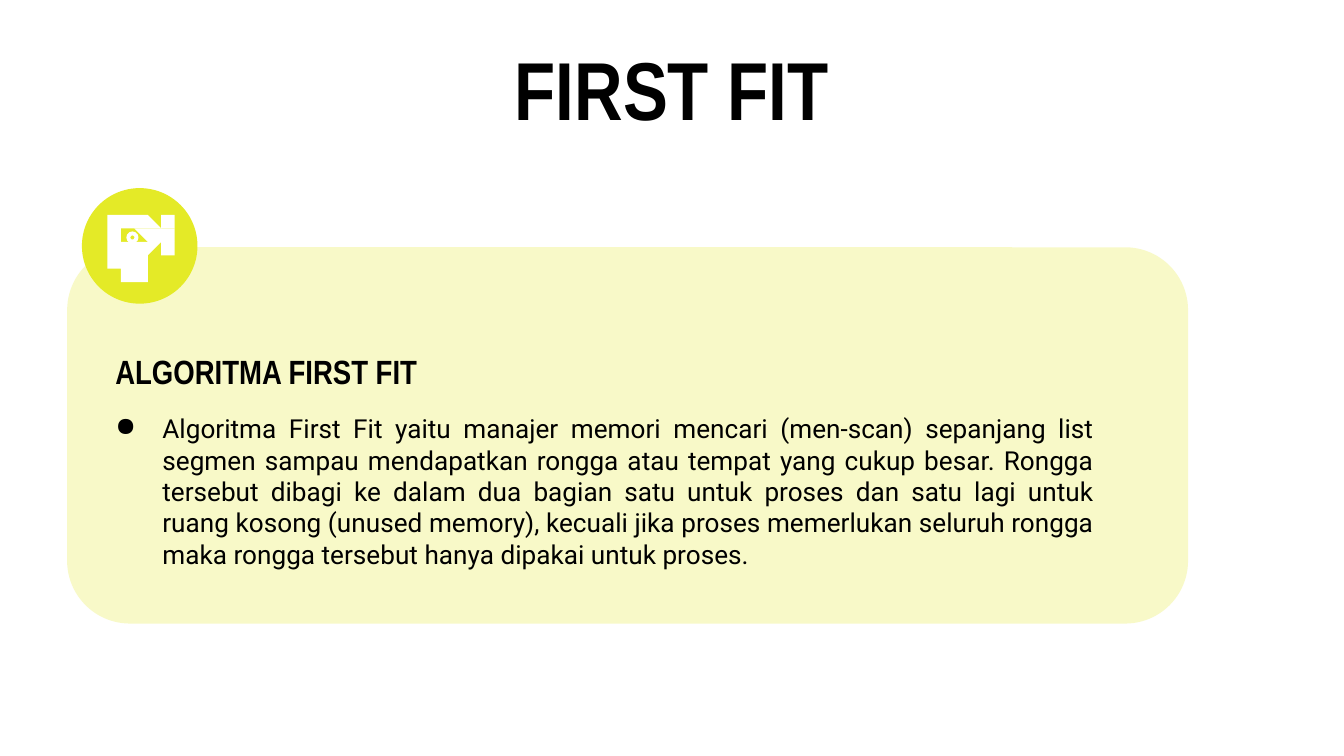
from dataclasses import dataclass
from math import cos, radians, sin

from lxml import etree
from pptx import Presentation
from pptx.dml.color import RGBColor
from pptx.enum.shapes import MSO_SHAPE
from pptx.enum.text import MSO_ANCHOR, PP_ALIGN
from pptx.oxml.ns import qn
from pptx.util import Inches, Pt

ROUNDED, OVAL, DONUT = MSO_SHAPE.ROUNDED_RECTANGLE, MSO_SHAPE.OVAL, MSO_SHAPE.DONUT
LEFT, CENTER, JUSTIFY = PP_ALIGN.LEFT, PP_ALIGN.CENTER, PP_ALIGN.JUSTIFY
TOP, MIDDLE = MSO_ANCHOR.TOP, MSO_ANCHOR.MIDDLE

SLIDE_WIDTH, SLIDE_HEIGHT = Inches(10), Inches(5.625)
CELL = SLIDE_WIDTH // 100  # square grid, 100 columns wide
LIME, WHITE, BLACK = "E4EA27", "FFFFFF", "000000"

Point = tuple[float, float]


@dataclass(frozen=True)
class Box:
    """Place on the grid, in columns and rows."""
    column: float
    row: float
    columns: float
    rows: float

    def lengths(self) -> list[int]:
        return [round(value * CELL) for value in
                (self.column, self.row, self.columns, self.rows)]


@dataclass(frozen=True)
class Label:
    box: Box
    text: str
    font: str
    size: float
    bold: bool = False
    align: int = LEFT
    anchor: int = MIDDLE
    bullet: str = ""


LABELS = [
    Label(Box(5, 4.5, 90, 4.1), "FIRST FIT", "Arial Narrow", 44, True, CENTER),
    Label(Box(7.6, 25.8, 47.3, 3.6), "ALGORITMA FIRST FIT", "Arial Narrow", 18, True),
    Label(Box(7.6, 29.7, 74.8, 12.4),
          "Algoritma First Fit yaitu manajer memori mencari (men-scan) sepanjang "
          "list segmen sampau mendapatkan rongga atau tempat yang cukup besar. "
          "Rongga tersebut dibagi ke dalam dua bagian satu untuk proses dan satu "
          "lagi untuk ruang kosong (unused memory), kecuali jika proses memerlukan "
          "seluruh rongga maka rongga tersebut hanya dipakai untuk proses.",
          "Roboto", 14, align=JUSTIFY, anchor=TOP, bullet="●"),
]


def arc(center: Point, radius: float, start: float, end: float) -> list[Point]:
    """Points along a circle; degrees run clockwise from the right."""
    steps = 24
    angles = [radians(start + (end - start) * step / steps) for step in range(steps + 1)]
    return [(center[0] + radius * cos(angle), center[1] + radius * sin(angle))
            for angle in angles]


EYE = (9.85, 17.67)
NODE_COLUMN, NODE_GAP, NODE_RADIUS = 12.53, 1.21, 0.46
HEAD = [
    *arc((9.92, 17.5), 1.8, -19, -196),
    (7.84, 18.6), (8.4, 19.05), (8.4, 19.92), (9.06, 19.92), (9.06, 20.86),
    (11.17, 20.86), (11.17, 20.2), (11.3, 19.2), (11.6, 18.42),
    *arc(EYE, 0.75, 90, 270),
]
UPPER_BRANCH = [
    *arc((NODE_COLUMN, EYE[1] - NODE_GAP), NODE_RADIUS, 120, -210),
    (11.93, 16.92), (11.68, 16.92), (11.75, 17.22), (12.03, 17.22),
]
MIDDLE_BRANCH = [
    *arc((NODE_COLUMN, EYE[1]), NODE_RADIUS, 160, -160),
    (11.78, 17.52), (11.75, 17.82),
]
LOWER_BRANCH = [(column, 2 * EYE[1] - row) for column, row in UPPER_BRANCH]
UPPER_BAR = [(10.43, 17.22), (11.75, 17.22), (11.78, 17.52), (10.58, 17.52)]
LOWER_BAR = [(column, 2 * EYE[1] - row) for column, row in UPPER_BAR]
ICON_OUTLINES = [HEAD, UPPER_BAR, LOWER_BAR, UPPER_BRANCH, MIDDLE_BRANCH, LOWER_BRANCH]


def color(value: str) -> RGBColor:
    return RGBColor.from_string(value)


def paint(shape, fill: str) -> None:
    shape.shadow.inherit = False
    shape.fill.solid()
    shape.fill.fore_color.rgb = color(fill)
    shape.line.fill.background()


def add_preset(slide, kind: int, box: Box, fill: str, adjustment: float | None = None):
    shape = slide.shapes.add_shape(kind, *box.lengths())
    if adjustment is not None:
        shape.adjustments[0] = adjustment
    paint(shape, fill)
    return shape


def add_outline(slide, points: list[Point], fill: str) -> None:
    builder = slide.shapes.build_freeform(*points[0], scale=CELL)
    builder.add_line_segments(points[1:], close=True)
    paint(builder.convert_to_shape(), fill)


def set_opacity(shape, percent: int) -> None:
    solid = shape._element.spPr.find(qn("a:solidFill"))
    etree.SubElement(solid[0], qn("a:alpha"), val=str(percent * 1000))


def set_bullet(paragraph, character: str) -> None:
    properties = paragraph._p.get_or_add_pPr()
    indent = Inches(0.35)
    properties.set("marL", str(indent))
    properties.set("indent", str(-indent))
    bullet_color = etree.SubElement(properties, qn("a:buClr"))
    etree.SubElement(bullet_color, qn("a:srgbClr"), val=BLACK)
    etree.SubElement(properties, qn("a:buChar"), char=character)


def add_label(slide, label: Label) -> None:
    frame = slide.shapes.add_textbox(*label.box.lengths()).text_frame
    margins = {f"margin_{side}": CELL for side in ("left", "top", "right", "bottom")}
    frame_format = {"word_wrap": True, "vertical_anchor": label.anchor, **margins}
    for name, value in frame_format.items():
        setattr(frame, name, value)
    paragraph = frame.paragraphs[0]
    paragraph.alignment = label.align
    if label.bullet:
        set_bullet(paragraph, label.bullet)
    run = paragraph.add_run()
    run.text = label.text
    font_format = {"name": label.font, "size": Pt(label.size), "bold": label.bold}
    for name, value in font_format.items():
        setattr(run.font, name, value)
    run.font.color.rgb = color(BLACK)


def main() -> None:
    presentation = Presentation()
    presentation.slide_width, presentation.slide_height = SLIDE_WIDTH, SLIDE_HEIGHT
    slide = presentation.slides.add_slide(presentation.slide_layouts[6])

    panel = add_preset(slide, ROUNDED, Box(5, 18.4, 83.4, 28), LIME, 0.167)
    set_opacity(panel, 25)
    add_preset(slide, OVAL, Box(6.1, 14, 8.6, 8.6), LIME)
    for outline in ICON_OUTLINES:
        add_outline(slide, outline, WHITE)
    eye_size = 0.9
    add_preset(slide, DONUT, Box(EYE[0] - eye_size / 2, EYE[1] - eye_size / 2,
                                 eye_size, eye_size), WHITE, 0.33)
    for label in LABELS:
        add_label(slide, label)
    presentation.save("out.pptx")


if __name__ == "__main__":
    main()
